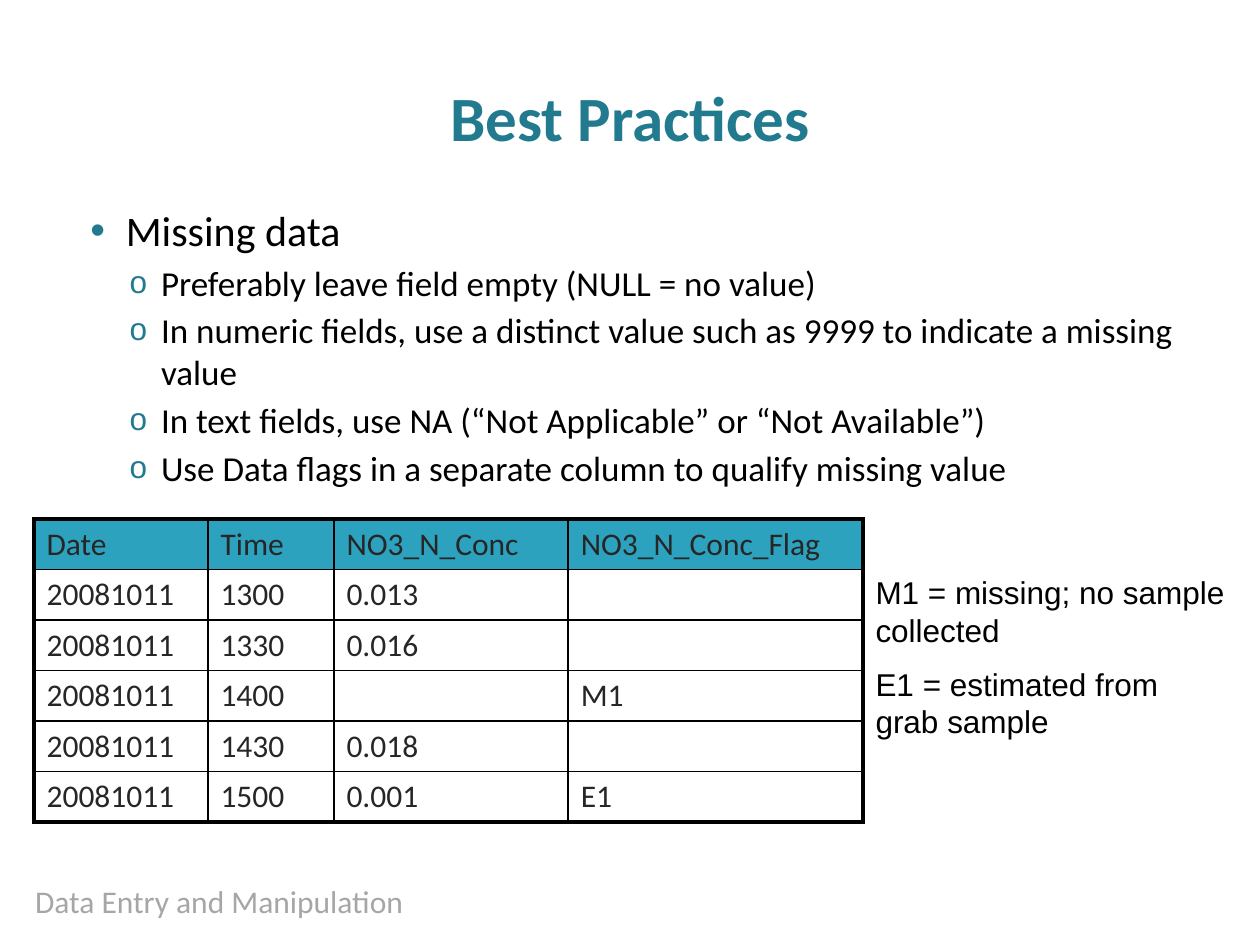
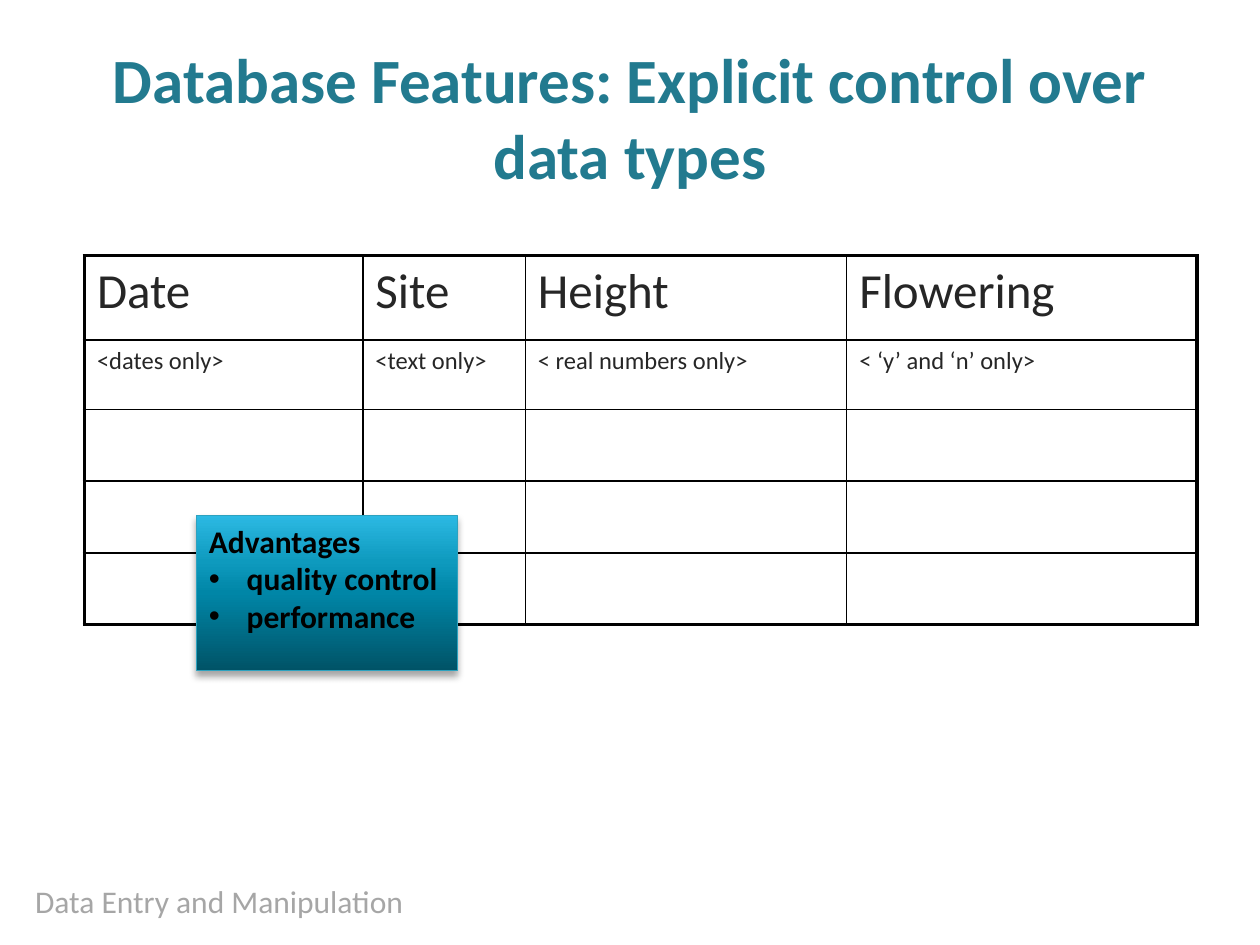
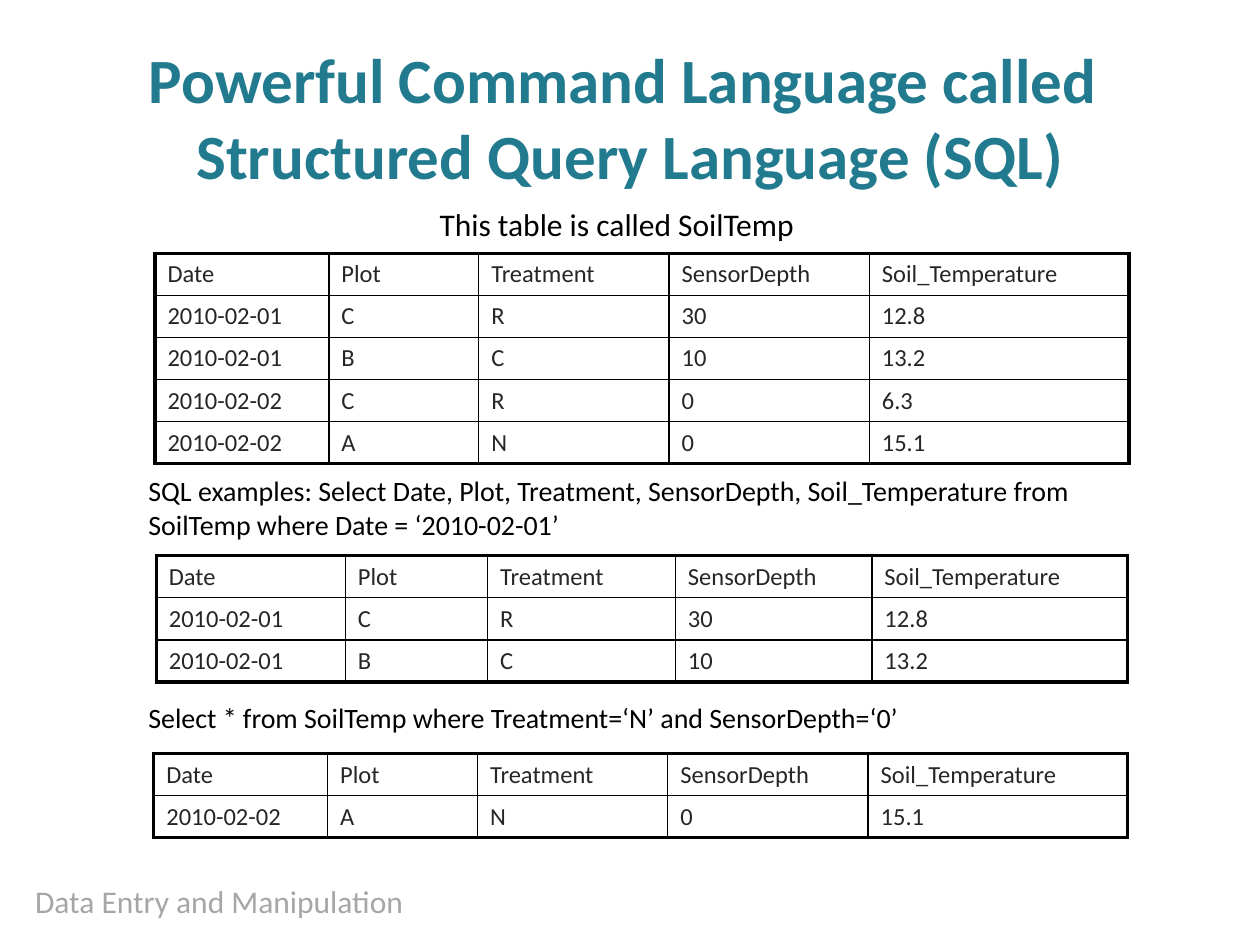
"""Builds three slides on data entry, data types and SQL."""
from lxml import etree
from pptx import Presentation
from pptx.dml.color import RGBColor
from pptx.enum.shapes import MSO_SHAPE
from pptx.enum.text import MSO_ANCHOR, MSO_AUTO_SIZE, PP_ALIGN
from pptx.oxml.ns import qn
from pptx.util import Inches, Pt

RECTANGLE = MSO_SHAPE.RECTANGLE
TOP, MIDDLE = MSO_ANCHOR.TOP, MSO_ANCHOR.MIDDLE
LEFT, CENTER = PP_ALIGN.LEFT, PP_ALIGN.CENTER
NO_AUTOFIT = MSO_AUTO_SIZE.NONE

TITLE_ONLY = 5
FONT, NOTE_FONT = "Calibri", "Arial"
THIN, THICK = 1, 2.25
COLORS = {
    "title": "227A8F",
    "text": "000000",
    "cell": "262626",
    "footer": "A6A6A6",
    "border": "000000",
    "header": "2DA2BF",
    "shadow": "000000",
}
ADVANTAGE_STOPS = [(0, "005367"), (50, "0086A7"), (70, "0E9ABE"), (100, "2CB9E3")]

MISSING_DATA = [
    "Preferably leave field empty (NULL = no value)",
    "In numeric fields, use a distinct value such as 9999 to indicate a missing value",
    "In text fields, use NA (“Not Applicable” or “Not Available”)",
    "Use Data flags in a separate column to qualify missing value",
]
NITRATE = [
    ["Date", "Time", "NO3_N_Conc", "NO3_N_Conc_Flag"],
    ["20081011", "1300", "0.013", ""],
    ["20081011", "1330", "0.016", ""],
    ["20081011", "1400", "", "M1"],
    ["20081011", "1430", "0.018", ""],
    ["20081011", "1500", "0.001", "E1"],
]
FIELD_TYPES = [
    ["Date", "Site", "Height", "Flowering"],
    ["<dates only>", "<text only>", "< real numbers only>", "< ‘y’ and ‘n’ only>"],
] + [[""] * 4] * 3
SOIL_HEADER = ["Date", "Plot", "Treatment", "SensorDepth", "Soil_Temperature"]
SOIL_TEMP = [
    ["2010-02-01", "C", "R", "30", "12.8"],
    ["2010-02-01", "B", "C", "10", "13.2"],
    ["2010-02-02", "C", "R", "0", "6.3"],
    ["2010-02-02", "A", "N", "0", "15.1"],
]


def rgb(name):
    """Return the palette colour with this name."""
    return RGBColor.from_string(COLORS[name])


def add_color(parent, value):
    """Append an RGB colour element and return it."""
    return etree.SubElement(parent, qn("a:srgbClr"), val=value)


def style_runs(paragraph, size, color="text", bold=False, font=FONT):
    """Format every run of a paragraph."""
    for run in paragraph.runs:
        run.font.name = font
        run.font.size = Pt(size)
        run.font.bold = bold
        run.font.color.rgb = rgb(color)


def add_bullet(paragraph, char, margin, hanging, color="text", percent=100):
    """Give a paragraph a bullet with a hanging indent."""
    properties = paragraph._p.get_or_add_pPr()
    properties.set("marL", str(Inches(margin)))
    properties.set("indent", str(-Inches(hanging)))
    add_color(etree.SubElement(properties, qn("a:buClr")), COLORS[color])
    etree.SubElement(properties, qn("a:buSzPct"), val=str(percent * 1000))
    etree.SubElement(properties, qn("a:buFont"), typeface=NOTE_FONT)
    etree.SubElement(properties, qn("a:buChar"), char=char)


def add_text(slide, box, lines, size, color="text", font=FONT, space_before=0):
    """Add a wrapping text box with one paragraph a line and return its frame."""
    frame = slide.shapes.add_textbox(*map(Inches, box)).text_frame
    frame.word_wrap = True
    frame.text = "\n".join(lines)
    for paragraph in frame.paragraphs:
        paragraph.space_before = Pt(space_before)
        style_runs(paragraph, size, color, font=font)
    return frame


def add_titled_slide(deck, heading):
    """Add a slide with the shared title style and footer."""
    slide = deck.slides.add_slide(deck.slide_layouts[TITLE_ONLY])
    title = slide.shapes.title
    title.left, title.top, title.width, title.height = map(Inches, (0.5, 0.3, 9, 1.25))
    frame = title.text_frame
    frame.text = heading
    frame.auto_size = NO_AUTOFIT
    frame.vertical_anchor = MIDDLE
    frame.paragraphs[0].alignment = CENTER
    style_runs(frame.paragraphs[0], 36, "title", bold=True)
    add_text(slide, (0.18, 6.95, 4.18, 0.4), ["Data Entry and Manipulation"], 18, "footer")
    return slide


def set_borders(cell, widths):
    """Draw the left, right, top and bottom borders of a cell."""
    properties = cell._tc.get_or_add_tcPr()
    for side, width in zip("LRTB", widths):
        line = etree.SubElement(properties, qn(f"a:ln{side}"), w=str(Pt(width)))
        add_color(etree.SubElement(line, qn("a:solidFill")), COLORS["border"])


def add_grid(slide, left, top, columns, heights, records, sizes, header_fill=None):
    """Add a table with thin inner lines and a thick frame.

    The first of the two sizes is for the header row.
    """
    frame = slide.shapes.add_table(
        len(records), len(columns), Inches(left), Inches(top),
        Inches(sum(columns)), Inches(sum(heights)))
    table = frame.table
    table.first_row = table.horz_banding = False
    for column, width in zip(table.columns, columns):
        column.width = Inches(width)
    last_row, last_column = len(records) - 1, len(columns) - 1
    for r, record in enumerate(records):
        table.rows[r].height = Inches(heights[r])
        for c, value in enumerate(record):
            cell = table.cell(r, c)
            cell.text = value
            style_runs(cell.text_frame.paragraphs[0], sizes[min(r, 1)], "cell")
            edges = (c == 0, c == last_column, r == 0, r == last_row)
            set_borders(cell, [THICK if edge else THIN for edge in edges])
            if r == 0 and header_fill:
                cell.fill.solid()
                cell.fill.fore_color.rgb = rgb(header_fill)
            else:
                cell.fill.background()


def add_soil_table(slide, left, top, columns, records):
    """Add a table of soil temperatures under their header."""
    rows = [SOIL_HEADER] + records
    add_grid(slide, left, top, columns, [0.33] * len(rows), rows, (14, 14))


def add_missing_data_list(slide):
    """Add the bulleted advice on missing data."""
    frame = add_text(slide, (0.5, 1.62, 9, 4.95), ["Missing data"] + MISSING_DATA, 20,
                     space_before=3.2)
    topic, *advice = frame.paragraphs
    topic.line_spacing = 0.9
    style_runs(topic, 24)
    add_bullet(topic, "•", 0.4, 0.28, "title")
    for paragraph in advice:
        paragraph.level = 1
        add_bullet(paragraph, "o", 0.68, 0.25, "title", 90)


def add_advantages(slide):
    """Add the shaded box that lists the advantages."""
    box = slide.shapes.add_shape(RECTANGLE, *map(Inches, (1.56, 4.09, 2.07, 1.23)))
    box.fill.gradient()
    box.fill.gradient_angle = 90
    stops = box._element.spPr.find(".//" + qn("a:gsLst"))
    stops.clear()
    for position, color in ADVANTAGE_STOPS:
        add_color(etree.SubElement(stops, qn("a:gs"), pos=str(position * 1000)), color)
    box.line.color.rgb = rgb("header")
    box.line.width = Pt(0.75)
    box.shadow.inherit = False
    effects = box._element.spPr.find(qn("a:effectLst"))
    shadow = etree.SubElement(
        effects, qn("a:outerShdw"), blurRad=str(Pt(4)), dist=str(Pt(3)),
        dir=str(90 * 60000), rotWithShape="0")
    etree.SubElement(add_color(shadow, COLORS["shadow"]), qn("a:alpha"), val="35000")
    frame = box.text_frame
    frame.text = "Advantages\nquality control\nperformance"
    frame.vertical_anchor = TOP
    for paragraph in frame.paragraphs:
        paragraph.alignment = LEFT
        style_runs(paragraph, 18, bold=True)
    for paragraph in frame.paragraphs[1:]:
        add_bullet(paragraph, "•", 0.3, 0.3)


def build_best_practices(deck):
    """Build the slide on missing data."""
    slide = add_titled_slide(deck, "Best Practices")
    add_missing_data_list(slide)
    add_grid(slide, 0.27, 4.12, (1.38, 1, 1.86, 2.34), [0.4] * len(NITRATE), NITRATE,
             (18, 18), "header")
    flags = ["M1 = missing; no sample collected", "E1 = estimated from grab sample"]
    add_text(slide, (6.85, 4.5, 2.99, 1.45), flags, 18, font=NOTE_FONT, space_before=9)


def build_data_types(deck):
    """Build the slide on control over data types."""
    slide = add_titled_slide(deck, "Database Features: Explicit control over data types")
    add_grid(slide, 0.67, 2.03, (2.21, 1.29, 2.55, 2.78), [0.67, 0.55] + [0.57] * 3,
             FIELD_TYPES, (28, 14))
    add_advantages(slide)


def build_sql(deck):
    """Build the slide with SQL queries and their results."""
    slide = add_titled_slide(
        deck, "Powerful Command Language called \vStructured Query Language (SQL)")
    columns = (1.38, 1.19, 1.51, 1.59, 2.06)
    add_soil_table(slide, 1.23, 2.01, columns, SOIL_TEMP)
    date_query = ("SQL examples: Select Date, Plot, Treatment, SensorDepth, "
                  "Soil_Temperature from SoilTemp where Date = ‘2010-02-01’")
    add_text(slide, (1.08, 3.71, 7.87, 2), [date_query], 16)
    by_date = [record for record in SOIL_TEMP if record[0] == "2010-02-01"]
    add_soil_table(slide, 1.24, 4.41, (1.5, 1.13, 1.49, 1.56, 2.03), by_date)
    by_plot = [record for record in SOIL_TEMP if record[2] == "N" and record[3] == "0"]
    add_soil_table(slide, 1.22, 5.98, columns, by_plot)
    add_text(slide, (3.39, 1.58, 3.14, 0.4), ["This table is called SoilTemp"], 18)
    plot_query = "Select * from SoilTemp where Treatment=‘N’ and SensorDepth=‘0’"
    add_text(slide, (1.08, 5.51, 7.74, 0.37), [plot_query], 16)


def main():
    """Build the deck and save it."""
    deck = Presentation()
    deck.slide_width, deck.slide_height = Inches(10), Inches(7.5)
    build_best_practices(deck)
    build_data_types(deck)
    build_sql(deck)
    deck.save("out.pptx")


if __name__ == "__main__":
    main()
